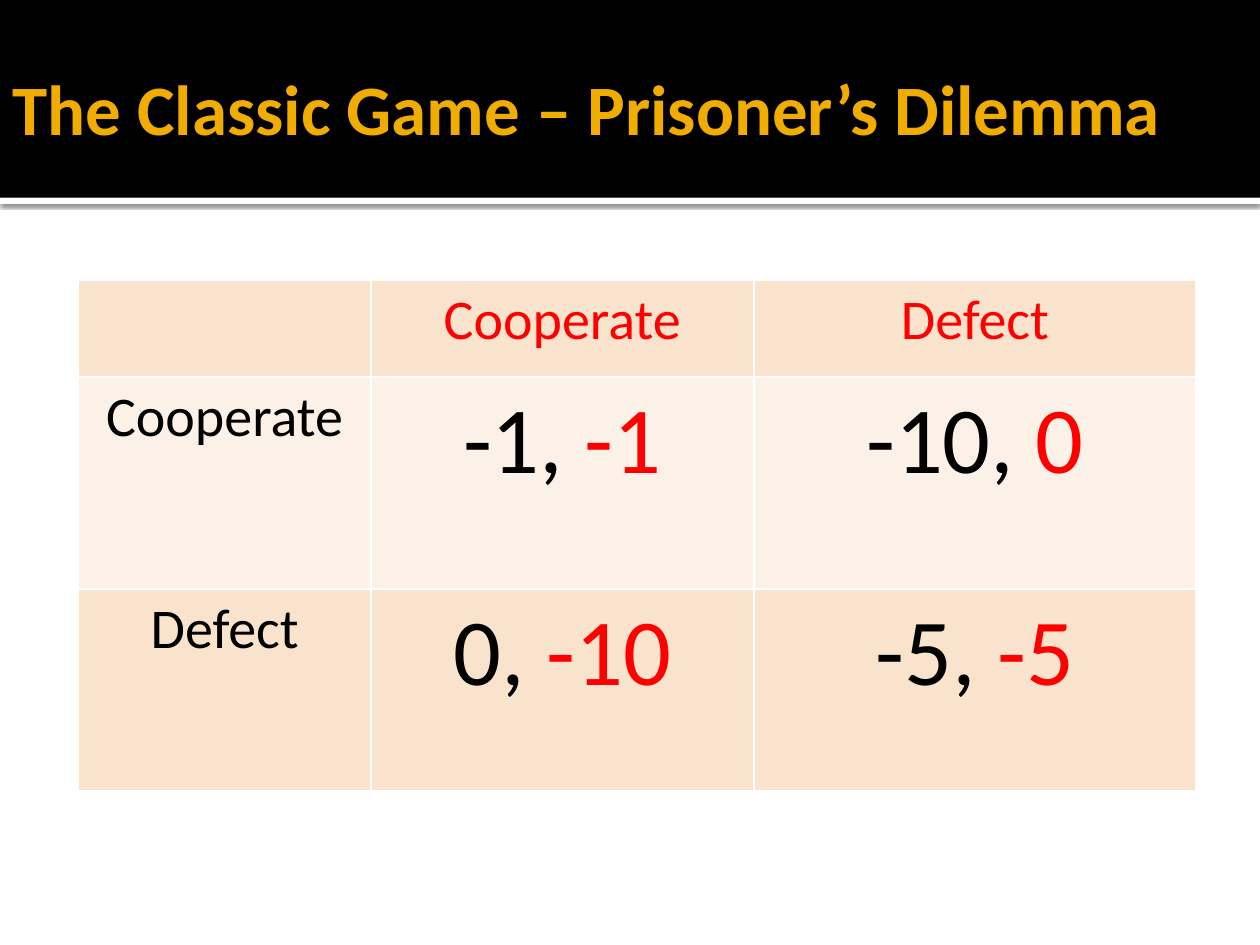
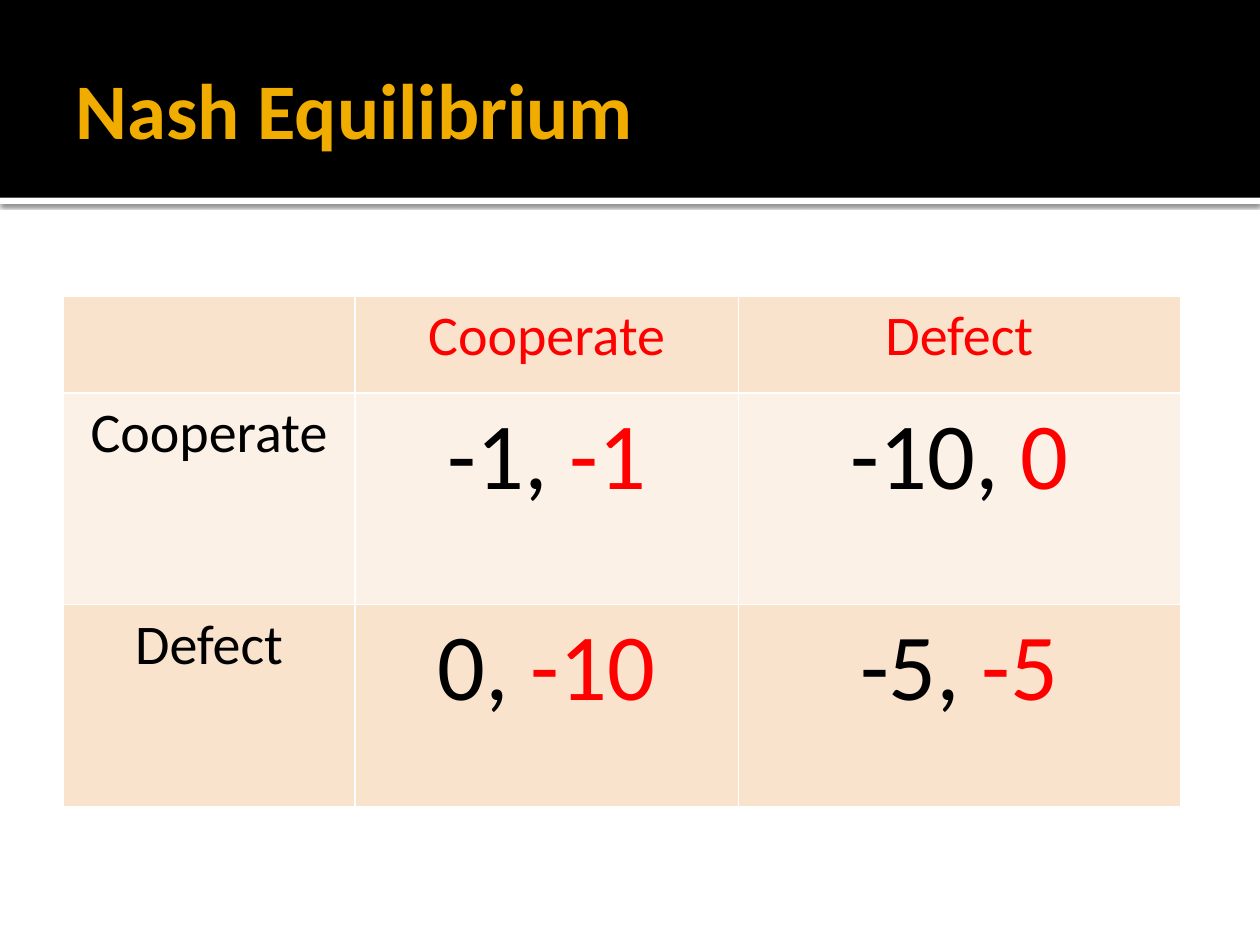
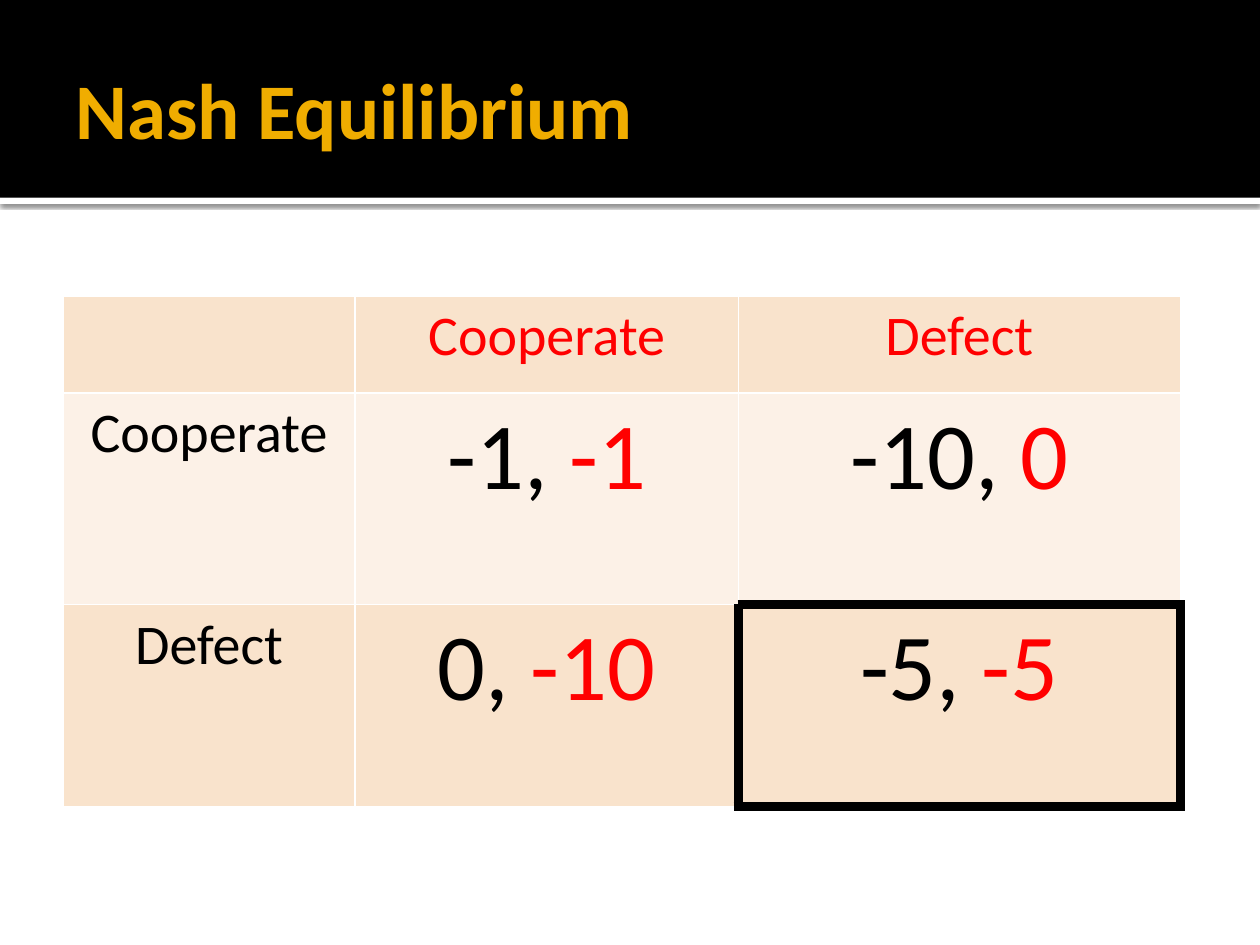
"""Builds three slides on the prisoner's dilemma and its Nash equilibrium."""
from dataclasses import dataclass

from lxml import etree
from pptx import Presentation
from pptx.dml.color import RGBColor
from pptx.enum import shapes, text
from pptx.oxml import ns
from pptx.util import Pt


@dataclass(frozen=True)
class Theme:
    font: str = "Calibri"
    gold: str = "F0AD00"
    black: str = "000000"
    white: str = "FFFFFF"
    red: str = "FF0000"
    peach: str = "F9E3CC"
    cream: str = "FCF1E7"
    title_size: float = 45
    long_title_size: float = 40.5
    label_size: float = 32
    payoff_size: float = 54


T = Theme()
BAND_H = 113
COL_WIDTHS = (167, 218.9, 252.7)
ROW_HEIGHTS = (55.4, 121, 115.2)
EDGES = {"lnL": (0, -1), "lnR": (0, 1), "lnT": (-1, 0), "lnB": (1, 0)}

# Each cell holds the row player's text, then the column player's.
GAME = [
    [("", ""), ("", "Cooperate"), ("", "Defect")],
    [("Cooperate", ""), ("-1, ", "-1"), ("-10, ", "0")],
    [("Defect", ""), ("0, ", "-10"), ("-5, ", "-5")],
]

# Title, size, title left, title width, table left, table top, equilibrium cell
SLIDES = [
    ("The Classic Game – Prisoner’s Dilemma", T.long_title_size, 0, 720, 44.9, 160.1, None),
    ("Nash Equilibrium", T.title_size, 36, 648, 36, 169.2, None),
    ("Nash Equilibrium", T.title_size, 36, 648, 36, 169.2, (2, 2)),
]


def add_fill(parent, color):
    fill = etree.SubElement(parent, ns.qn("a:solidFill"))
    return etree.SubElement(fill, ns.qn("a:srgbClr"), val=color)


def set_borders(cell, row, col, marked):
    tc_pr = cell._tc.get_or_add_tcPr()
    for tag, (down, right) in EDGES.items():
        thick = marked in ((row, col), (row + down, col + right))
        ln = etree.SubElement(tc_pr, ns.qn(f"a:{tag}"), w=str(Pt(6 if thick else 1)))
        add_fill(ln, T.black if thick else T.white)


prs = Presentation()
prs.slide_width, prs.slide_height = Pt(720), Pt(540)
layout = prs.slide_layouts[5]
for ph in list(layout.placeholders)[1:]:
    ph._element.getparent().remove(ph._element)

for name, size, title_left, title_width, left, top, marked in SLIDES:
    s = prs.slides.add_slide(layout)

    if len(prs.slides) == 1:
        bands = []
        for band_top, height, color in ((BAND_H, 3.6, T.white), (0, BAND_H, T.black)):
            sp = s.shapes.add_shape(shapes.MSO_SHAPE.RECTANGLE, 0, Pt(band_top), Pt(720), Pt(height))
            sp.shadow.inherit = False
            sp.fill.solid()
            sp.fill.fore_color.rgb = RGBColor.from_string(color)
            sp.line.fill.background()
            bands.append(sp)
        effects = bands[0]._element.spPr.find(ns.qn("a:effectLst"))
        shadow = etree.SubElement(effects, ns.qn("a:outerShdw"), blurRad=str(Pt(2.5)),
                                  dist=str(Pt(0.8)), dir="5400000", algn="t", rotWithShape="0")
        etree.SubElement(add_fill(etree.Element("tmp"), T.black), ns.qn("a:alpha"), val="60000")
        shadow_color = etree.SubElement(shadow, ns.qn("a:srgbClr"), val=T.black)
        etree.SubElement(shadow_color, ns.qn("a:alpha"), val="60000")
        for i, sp in enumerate(bands):
            layout.shapes._spTree.insert(2 + i, sp._element)

    title = s.shapes.title
    title.left, title.top, title.width, title.height = Pt(title_left), Pt(12.2), Pt(title_width), Pt(98.6)
    tf = title.text_frame
    tf.text = name
    tf.word_wrap = True
    tf.auto_size = text.MSO_AUTO_SIZE.NONE
    tf.vertical_anchor = text.MSO_ANCHOR.MIDDLE
    tf.margin_left = Pt(7.2)
    tf.margin_right = tf.margin_top = tf.margin_bottom = Pt(3.6)
    p = tf.paragraphs[0]
    p.alignment = text.PP_ALIGN.LEFT
    p.font.name, p.font.size, p.font.bold = T.font, Pt(size), True
    p.font.color.rgb = RGBColor.from_string(T.gold)

    table = s.shapes.add_table(3, 3, Pt(left), Pt(top), Pt(sum(COL_WIDTHS)), Pt(sum(ROW_HEIGHTS))).table
    table.first_row = table.horz_banding = False
    for column, width in zip(table.columns, COL_WIDTHS):
        column.width = Pt(width)
    for row, height in zip(table.rows, ROW_HEIGHTS):
        row.height = Pt(height)
    for i, line in enumerate(GAME):
        for j, players in enumerate(line):
            cell = table.cell(i, j)
            set_borders(cell, i, j, marked)
            cell.fill.solid()
            cell.fill.fore_color.rgb = RGBColor.from_string(T.cream if i == 1 else T.peach)
            p = cell.text_frame.paragraphs[0]
            p.alignment = text.PP_ALIGN.CENTER
            p.font.name = T.font
            p.font.size = Pt(T.payoff_size if all(players) else T.label_size)
            for words, color in zip(players, (T.black, T.red)):
                if words:
                    r = p.add_run()
                    r.text = words
                    r.font.color.rgb = RGBColor.from_string(color)

prs.save("out.pptx")
